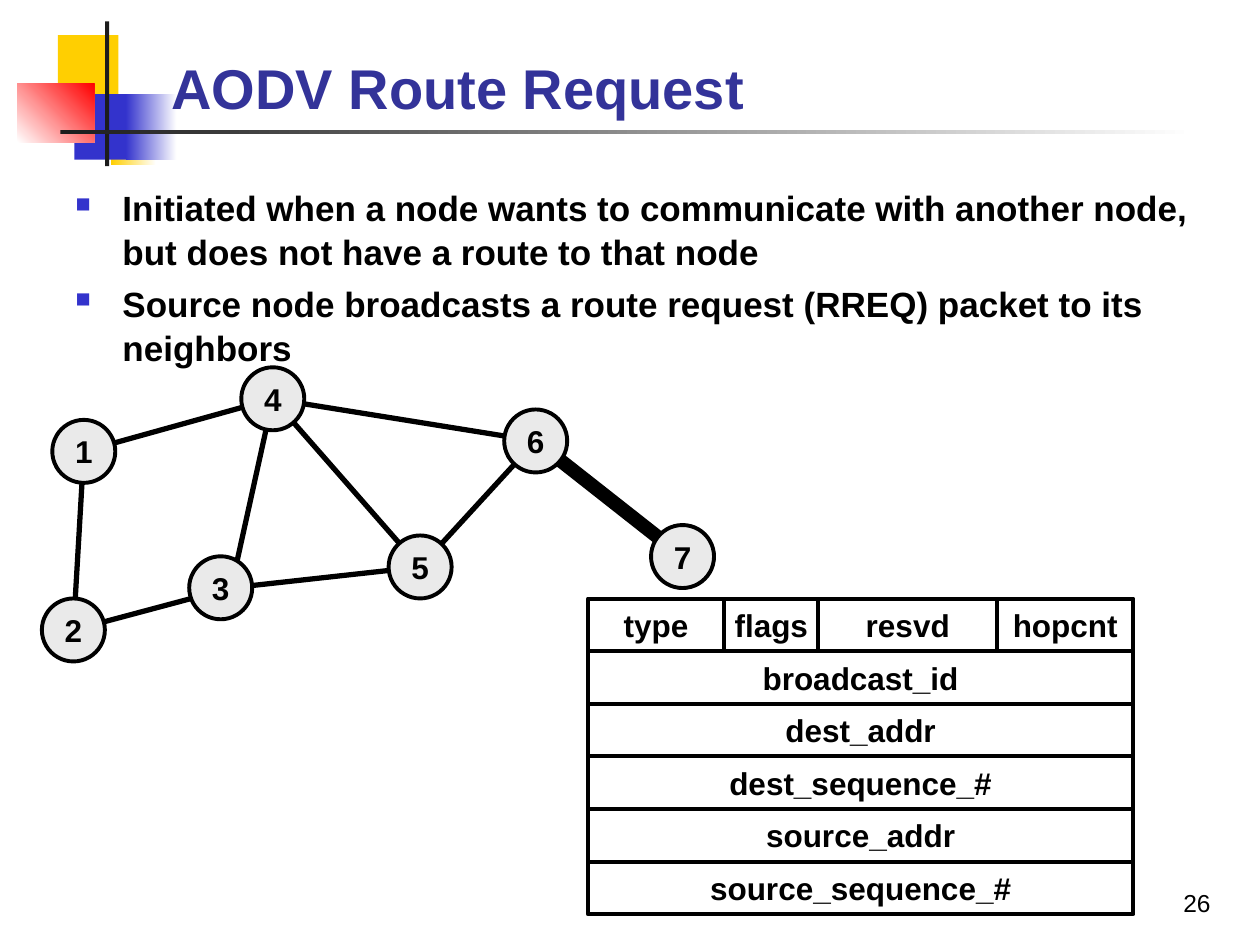
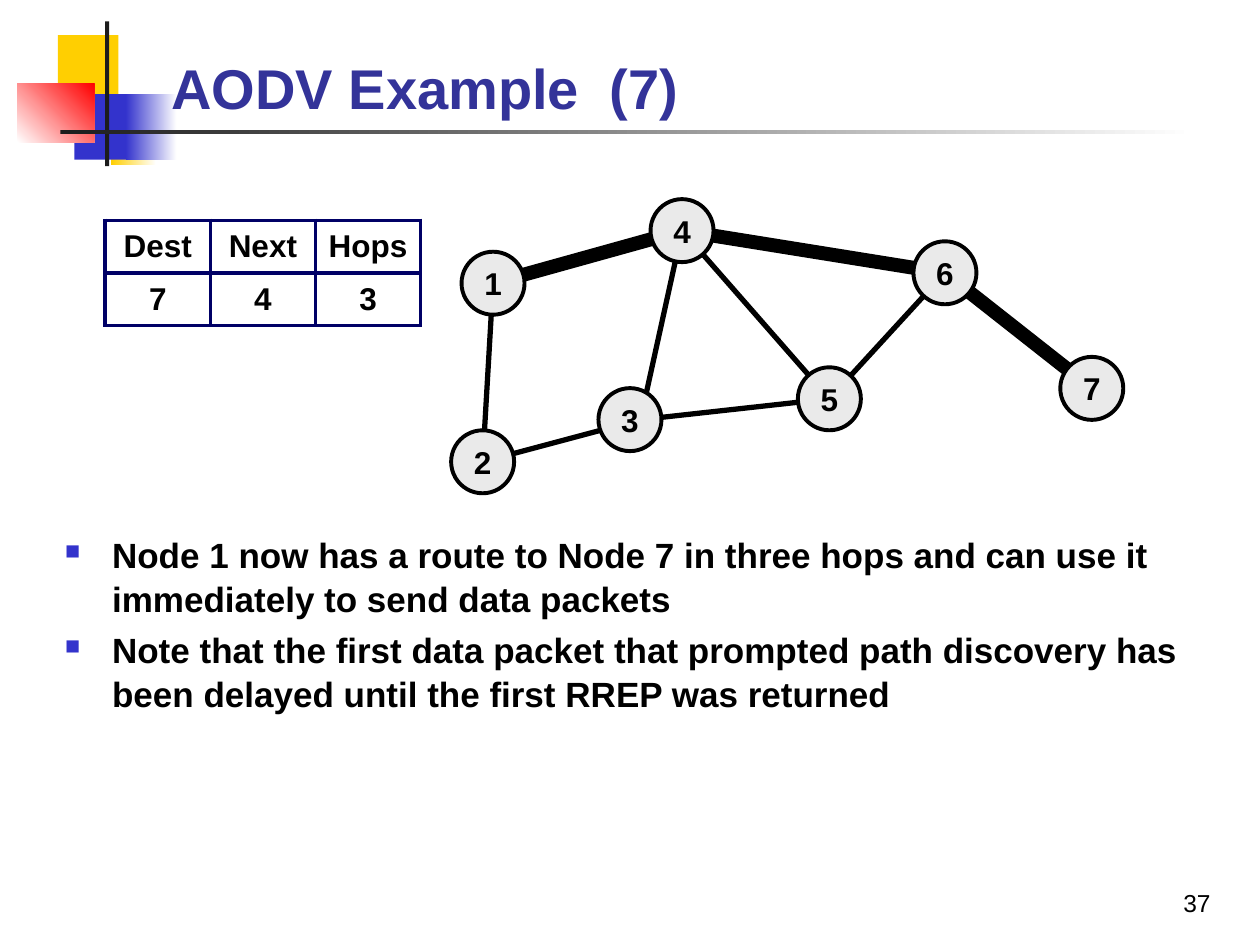
"""Builds two AODV routing slides: the route request and the final step of the example."""
from lxml import etree
from pptx import Presentation
from pptx.dml.color import RGBColor
from pptx.enum.shapes import MSO_CONNECTOR, MSO_SHAPE
from pptx.enum.text import MSO_ANCHOR, PP_ALIGN
from pptx.oxml.ns import qn
from pptx.util import Cm, Pt

RECT, OVAL, LINE = MSO_SHAPE.RECTANGLE, MSO_SHAPE.OVAL, MSO_CONNECTOR.STRAIGHT
LEFT, CENTER = PP_ALIGN.LEFT, PP_ALIGN.CENTER
MIDDLE, BOTTOM = MSO_ANCHOR.MIDDLE, MSO_ANCHOR.BOTTOM

COLORS = {
    "title": "333399", "text": "000000", "white": "FFFFFF", "node": "EAEAEA",
    "yellow": "FFCF01", "blue": "3333CC", "red": "FF0000", "rule": "1C1C1C",
    "navy": "000066",
}
FONT = "Arial"
ROW = 1.06
NODE = 1.27
BORDER = 2.25

BANDS = [
    (1.17, 0.71, 1.22, 1.32, "yellow", None, 0),
    (2.24, 2.01, 0.91, 1.32, "yellow", "white", 0),
    (1.5, 1.9, 1.17, 1.32, "blue", None, 0),
    (2.54, 1.9, 1.02, 1.32, "blue", "white", 0),
    (0.35, 1.69, 1.55, 1.18, "white", "red", 45),
    (2.12, 0.43, 0.08, 2.92, "rule", None, 0),
    (1.22, 2.62, 22.86, 0.08, "rule", "white", 0),
]

NODES = {
    1: (0.84, 1.69), 2: (0.63, 5.29), 3: (3.6, 4.44), 4: (4.65, 0.63),
    5: (7.62, 4.02), 6: (9.95, 1.48), 7: (12.91, 3.81),
}
LINK_ENDS = {**NODES, 3: (3.81, 4.44)}
LINKS = [(1, 2), (4, 5), (2, 3), (1, 4), (4, 3), (3, 5), (4, 6), (6, 7), (6, 5)]


class Deck:
    """Holds the style and the current slide."""

    def __init__(self):
        self.prs = Presentation()
        self.prs.slide_width, self.prs.slide_height = Cm(25.4), Cm(19.05)
        self.s = None

    def color(self, name):
        return RGBColor.from_string(COLORS[name])

    def format(self, tf, size, bold=True, color="text", align=CENTER):
        for p in tf.paragraphs:
            p.alignment = align
            for r in p.runs:
                r.font.name, r.font.size, r.font.bold = FONT, Pt(size), bold
                r.font.color.rgb = self.color(color)

    def slide(self, title, number):
        self.s = self.prs.slides.add_slide(self.prs.slide_layouts[5])
        for band in BANDS:
            self.band(*band)
        sp = self.s.shapes.title
        sp.element.getparent().append(sp.element)
        sp.left, sp.top, sp.width, sp.height = Cm(3.2), Cm(0.46), Cm(21.64), Cm(2.11)
        tf = sp.text_frame
        tf.text, tf.vertical_anchor = title, BOTTOM
        self.format(tf, 32, color="title", align=LEFT)
        tf = self.textbox(22.86, 17.78, 2.54, 1.27)
        tf.text = str(number)
        self.format(tf, 14, bold=False)

    def textbox(self, x, y, w, h):
        tf = self.s.shapes.add_textbox(Cm(x), Cm(y), Cm(w), Cm(h)).text_frame
        tf.word_wrap = True
        return tf

    def shape(self, kind, x, y, w, h):
        sp = self.s.shapes.add_shape(kind, Cm(x), Cm(y), Cm(w), Cm(h))
        sp.shadow.inherit = False
        return sp

    def band(self, x, y, w, h, start, end, angle):
        sp = self.shape(RECT, x, y, w, h)
        sp.line.fill.background()
        if end is None:
            sp.fill.solid()
            sp.fill.fore_color.rgb = self.color(start)
            return
        sp.fill.gradient()
        sp.fill.gradient_angle = angle
        for stop, name in zip(sp.fill.gradient_stops, (start, end)):
            stop.color.rgb = self.color(name)

    def box(self, kind, x, y, w, h, text, fill):
        sp = self.shape(kind, x, y, w, h)
        sp.fill.solid()
        sp.fill.fore_color.rgb = self.color(fill)
        sp.line.color.rgb, sp.line.width = self.color("text"), Pt(BORDER)
        tf = sp.text_frame
        tf.text, tf.word_wrap, tf.vertical_anchor = text, False, MIDDLE
        self.format(tf, 18)

    def bullets(self, x, y, w, h, items):
        tf = self.textbox(x, y, w, h)
        tf.text = "\n".join(items)
        for i, p in enumerate(tf.paragraphs):
            p.line_spacing = 1.05
            p.space_before = Pt(4 if i else 0)
            pPr = p._p.get_or_add_pPr()
            pPr.set("marL", str(Cm(0.95)))
            pPr.set("indent", str(-Cm(0.95)))
            clr = etree.SubElement(pPr, qn("a:buClr"))
            etree.SubElement(clr, qn("a:srgbClr"), val=COLORS["blue"])
            etree.SubElement(pPr, qn("a:buSzPct"), val="60000")
            etree.SubElement(pPr, qn("a:buChar"), char="■")
        self.format(tf, 20, align=LEFT)

    def link(self, x1, y1, x2, y2, width):
        c = self.s.shapes.add_connector(LINE, Cm(x1), Cm(y1), Cm(x2), Cm(y2))
        c.line.color.rgb, c.line.width = self.color("text"), Pt(width)
        etree.SubElement(c.element.spPr, qn("a:effectLst"))

    def network(self, x, y, route):
        for a, b in LINKS:
            (x1, y1), (x2, y2) = LINK_ENDS[a], LINK_ENDS[b]
            self.link(x + x1, y + y1, x + x2, y + y2, 8 if (a, b) in route else 3)
        for name, (cx, cy) in NODES.items():
            self.box(OVAL, x + cx - NODE / 2, y + cy - NODE / 2, NODE, NODE, str(name), "node")

    def packet(self, x, y, header, fields):
        left = x
        for text, w in header:
            self.box(RECT, left, y, w, ROW, text, "white")
            left += w
        for i, text in enumerate(fields, 1):
            self.box(RECT, x, y + i * ROW, left - x, ROW, text, "white")

    def table(self, x, y, col_width, rows):
        n = len(rows[0])
        tbl = self.s.shapes.add_table(len(rows), n, Cm(x), Cm(y), Cm(n * col_width),
                                      Cm(len(rows) * ROW)).table
        tbl.first_row = tbl.horz_banding = False
        for i, row in enumerate(rows):
            for j, text in enumerate(row):
                self.cell(tbl.cell(i, j), text)

    def cell(self, cell, text):
        cell.text, cell.vertical_anchor = text, MIDDLE
        cell.margin_left = cell.margin_right = cell.margin_top = cell.margin_bottom = 0
        self.format(cell.text_frame, 18)
        tcPr = cell._tc.get_or_add_tcPr()
        for side in ("lnL", "lnR", "lnT", "lnB"):
            ln = etree.SubElement(tcPr, qn("a:" + side), w=str(Pt(BORDER)))
            fill = etree.SubElement(ln, qn("a:solidFill"))
            etree.SubElement(fill, qn("a:srgbClr"), val=COLORS["navy"])
        cell.fill.solid()
        cell.fill.fore_color.rgb = self.color("white")


def main():
    deck = Deck()

    deck.slide("AODV Route Request", 26)
    deck.bullets(1.27, 3.6, 23.06, 14.4, [
        "Initiated when a node wants to communicate with another node, "
        "but does not have a route to that node",
        "Source node broadcasts a route request (RREQ) packet to its neighbors",
    ])
    deck.packet(
        11.85, 12.07,
        [("type", 2.75), ("flags", 1.9), ("resvd", 3.6), ("hopcnt", 2.75)],
        ["broadcast_id", "dest_addr", "dest_sequence_#", "source_addr", "source_sequence_#"])
    deck.network(0.85, 7.41, [(6, 7)])

    deck.slide("AODV Example  (7)", 37)
    deck.bullets(1.06, 10.59, 23.06, 6.55, [
        "Node 1 now has a route to Node 7 in three hops and can use it "
        "immediately to send data packets",
        "Note that the first data packet that prompted path discovery has "
        "been delayed until the first RREP was returned",
    ])
    deck.network(9.1, 4.02, [(1, 4), (4, 6), (6, 7)])
    deck.table(2.12, 4.44, 2.12, [["Dest", "Next", "Hops"], ["7", "4", "3"]])

    deck.prs.save("out.pptx")


if __name__ == "__main__":
    main()
